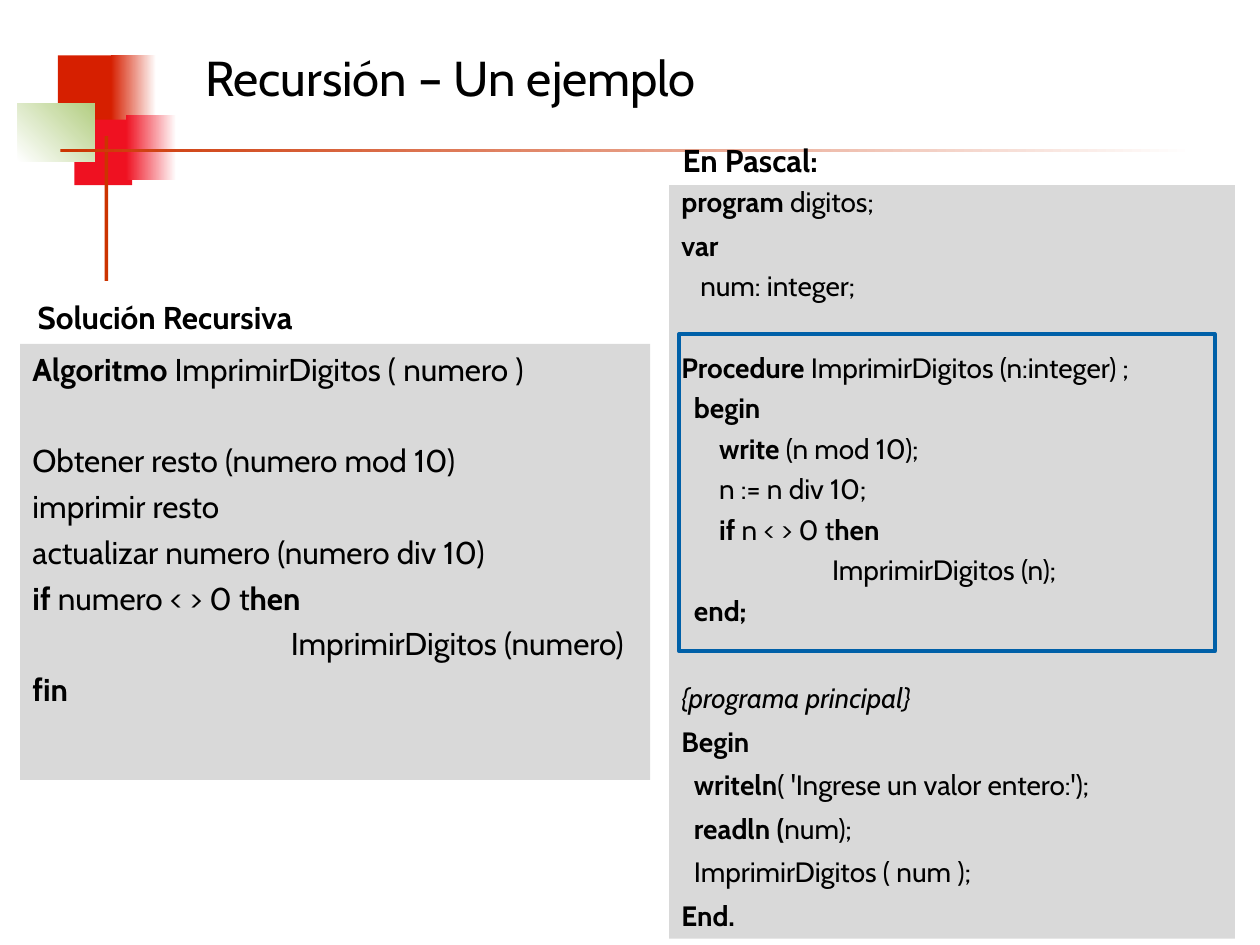
from pptx import Presentation
from pptx.dml.color import RGBColor
from pptx.enum.shapes import MSO_SHAPE
from pptx.enum.text import MSO_ANCHOR, PP_ALIGN
from pptx.util import Inches, Pt

RECTANGLE = MSO_SHAPE.RECTANGLE
TOP, MIDDLE = MSO_ANCHOR.TOP, MSO_ANCHOR.MIDDLE
LEFT = PP_ALIGN.LEFT

FONT = "Cabin"
BLACK = RGBColor(0x00, 0x00, 0x00)
WHITE = RGBColor(0xFF, 0xFF, 0xFF)
DARK_RED = RGBColor(0xD6, 0x1F, 0x00)
RED = RGBColor(0xEF, 0x11, 0x21)
GREEN = RGBColor(0xB3, 0xCE, 0x82)
RUST = RGBColor(0xCC, 0x33, 0x00)
GREY = RGBColor(0xD9, 0xD9, 0xD9)
BLUE = RGBColor(0x00, 0x60, 0xA8)

DECORATIONS = [
    ((0.46, 0.44, 0.48, 0.52), (DARK_RED,), 0),
    ((0.88, 0.44, 0.36, 0.52), (DARK_RED, WHITE), 0),
    ((0.59, 0.95, 0.46, 0.52), (RED,), 0),
    ((1, 0.91, 0.4, 0.52), (RED, WHITE), 0),
    ((0.14, 0.82, 0.61, 0.46), (WHITE, GREEN), 45),
    ((0.83, 1.08, 0.03, 1.15), (RUST,), 0),
    ((0.48, 1.18, 9, 0.03), (RUST, WHITE), 0),
]

TITLE = "Recursión – Un ejemplo"
ALGORITHM_HEADING = "*Solución Recursiva*"
PASCAL_HEADING = "*En Pascal:*"

HANGING = {"margin": 0.38, "indent": -0.38}
STEP = {**HANGING, "before": 4.5}
STEP_AFTER_GAP = {**HANGING, "before": 30.6}
CALL = {"margin": 2.05, "indent": 0, "before": 4.5}
CODE = {**HANGING, "before": 4}
CODE_AFTER_GAP = {**HANGING, "before": 27.2}
MAIN = {**HANGING, "before": 9.5, "spacing": 0.8}
MAIN_AFTER_GAP = {**MAIN, "before": 34.3, "italic": True}

# Asterisks switch bold on and off.
ALGORITHM = [
    ("*Algoritmo *ImprimirDigitos ( numero )", STEP),
    ("Obtener resto (numero mod 10)", STEP_AFTER_GAP),
    ("imprimir resto", STEP),
    ("actualizar numero (numero div 10)", STEP),
    ("*if* numero < > 0 t*hen*", STEP),
    ("ImprimirDigitos (numero)", CALL),
    ("*fin*", STEP),
]
PASCAL = [
    ("*program* digitos;", MAIN),
    ("*var*", MAIN),
    ("   num: integer;", CODE),
    ("*Procedure *ImprimirDigitos (n:integer) ;", CODE_AFTER_GAP),
    ("*  begin*", CODE),
    ("*      write* (n mod 10);", CODE),
    ("      n := n div 10;", CODE),
    ("      *if* n < > 0 t*hen*", CODE),
    ("                        ImprimirDigitos (n);", CODE),
    ("*  end;*", CODE),
    ("{programa principal}", MAIN_AFTER_GAP),
    ("*Begin*", MAIN),
    ("  *writeln*( 'Ingrese un valor entero:');", MAIN),
    ("*  readln (*num);", MAIN),
    ("  ImprimirDigitos ( num );", MAIN),
    ("*End.*", MAIN),
]

deck = Presentation()
deck.slide_width, deck.slide_height = Inches(10), Inches(7.5)
slide = deck.slides.add_slide(deck.slide_layouts[6])


def add_panel(place, colors=(), angle=0, outline=None):
    panel = slide.shapes.add_shape(RECTANGLE, *map(Inches, place))
    panel.shadow.inherit = False
    if len(colors) == 2:
        panel.fill.gradient()
        panel.fill.gradient_angle = angle
        for stop, color in zip(panel.fill.gradient_stops, colors):
            stop.color.rgb = color
    elif colors:
        panel.fill.solid()
        panel.fill.fore_color.rgb = colors[0]
    else:
        panel.fill.background()
    if outline:
        panel.line.color.rgb = outline
        panel.line.width = Pt(2.25)
    else:
        panel.line.fill.background()
    return panel


def write_lines(holder, lines, size=18, anchor=TOP):
    frame = holder.text_frame
    frame.word_wrap = True
    frame.vertical_anchor = anchor
    for number, (line, style) in enumerate(lines):
        paragraph = frame.add_paragraph() if number else frame.paragraphs[0]
        paragraph.alignment = LEFT
        if "margin" in style:
            properties = paragraph._p.get_or_add_pPr()
            properties.set("marL", str(Inches(style["margin"])))
            properties.set("indent", str(Inches(style["indent"])))
        if number:
            paragraph.space_before = Pt(style.get("before", 0))
        paragraph.line_spacing = style.get("spacing", 1.0)
        for part, words in enumerate(line.split("*")):
            if words:
                run = paragraph.add_run()
                run.text = words
                run.font.name = FONT
                run.font.size = Pt(size)
                run.font.bold = part % 2 == 1
                run.font.italic = style.get("italic", False)
                run.font.color.rgb = BLACK


def add_label(place, words, **text_format):
    label = slide.shapes.add_textbox(*map(Inches, place))
    write_lines(label, [(words, {})], **text_format)


for place, colors, angle in DECORATIONS:
    add_panel(place, colors, angle)

add_label((1.53, 0.19, 7.95, 0.84), TITLE, size=28, anchor=MIDDLE)
write_lines(add_panel((0.16, 2.73, 5, 3.46), (GREY,)), ALGORITHM)
add_label((0.2, 2.32, 4.02, 0.4), ALGORITHM_HEADING)
add_label((5.32, 1.07, 4.02, 0.4), PASCAL_HEADING)
write_lines(add_panel((5.31, 1.47, 4.49, 5.98), (GREY,)), PASCAL, size=16)
add_panel((5.39, 2.65, 4.25, 2.52), outline=BLUE)

deck.save("out.pptx")
